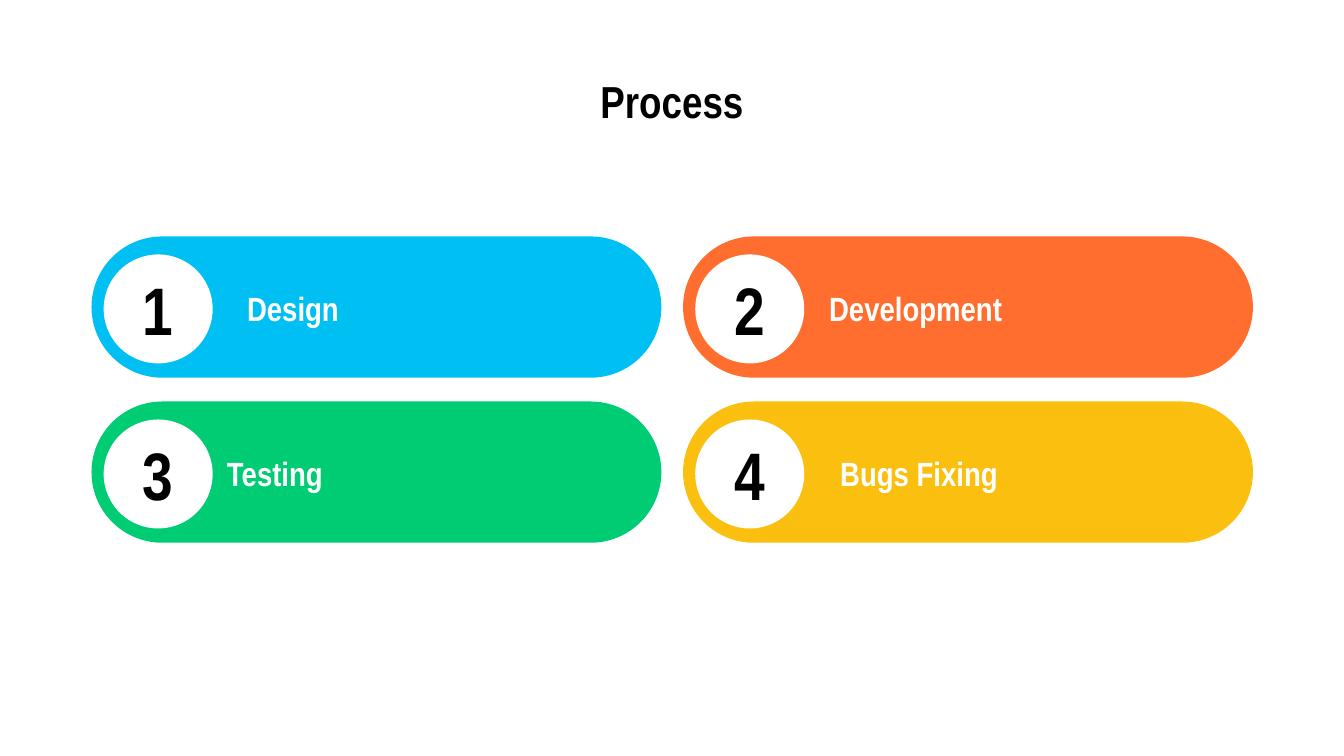
from pptx import Presentation
from pptx.dml.color import RGBColor
from pptx.enum.shapes import MSO_SHAPE
from pptx.enum.text import MSO_ANCHOR, PP_ALIGN
from pptx.util import Cm, Pt

TITLE = "Process"
STEPS = [
    ("Design", "blue", 2.69),
    ("Development", "orange", 2.51),
    ("Testing", "green", 2.31),
    ("Bugs Fixing", "yellow", 2.72),
]
COLORS = {
    "blue": "00C0F3",
    "orange": "FF6D2F",
    "green": "00CC74",
    "yellow": "FBBF10",
    "white": "FFFFFF",
    "black": "000000",
}
FONT = "Arial Narrow"
COLUMNS = 2
GRID_LEFT, GRID_TOP = 1.73, 4.47
PITCH_X, PITCH_Y = 11.18, 3.12
PILL_WIDTH, PILL_HEIGHT = 10.77, 2.67
BADGE_SIZE, BADGE_DX, BADGE_DY = 2.06, 0.23, 0.34
LABEL_WIDTH, LABEL_HEIGHT, LABEL_DY = 6.17, 0.97, 0.86


def write(holder, text, size, color, align, anchor=MSO_ANCHOR.MIDDLE):
    frame = holder.text_frame
    frame.word_wrap = True
    frame.vertical_anchor = anchor
    frame.margin_left = frame.margin_right = Cm(0.25)
    frame.margin_top = frame.margin_bottom = Cm(0.25)
    paragraph = frame.paragraphs[0]
    paragraph.alignment = align
    run = paragraph.add_run()
    run.text = text
    run.font.name = FONT
    run.font.size = Pt(size)
    run.font.bold = True
    run.font.color.rgb = RGBColor.from_string(COLORS[color])


def add_filled(shapes, kind, left, top, width, height, color):
    filled = shapes.add_shape(kind, Cm(left), Cm(top), Cm(width), Cm(height))
    filled.shadow.inherit = False
    filled.fill.solid()
    filled.fill.fore_color.rgb = RGBColor.from_string(COLORS[color])
    filled.line.fill.background()
    return filled


def add_step(slide, index, name, color, label_dx):
    row, column = divmod(index, COLUMNS)
    left = GRID_LEFT + column * PITCH_X
    top = GRID_TOP + row * PITCH_Y
    shapes = slide.shapes.add_group_shape().shapes
    pill = add_filled(shapes, MSO_SHAPE.ROUNDED_RECTANGLE, left, top,
                      PILL_WIDTH, PILL_HEIGHT, color)
    pill.adjustments[0] = 0.5
    label = shapes.add_textbox(Cm(left + label_dx), Cm(top + LABEL_DY),
                               Cm(LABEL_WIDTH), Cm(LABEL_HEIGHT))
    write(label, name, 18, "white", PP_ALIGN.LEFT)
    badge = add_filled(shapes, MSO_SHAPE.OVAL, left + BADGE_DX, top + BADGE_DY,
                       BADGE_SIZE, BADGE_SIZE, "white")
    write(badge, str(index + 1), 36, "black", PP_ALIGN.CENTER)


deck = Presentation()
deck.slide_width, deck.slide_height = Cm(25.4), Cm(14.29)
slide = deck.slides.add_slide(deck.slide_layouts[6])

title = slide.shapes.add_textbox(Cm(1.27), Cm(1.14), Cm(22.86), Cm(1.6))
write(title, TITLE, 24, "black", PP_ALIGN.CENTER, MSO_ANCHOR.TOP)

for index, (name, color, label_dx) in enumerate(STEPS):
    add_step(slide, index, name, color, label_dx)

deck.save("out.pptx")
